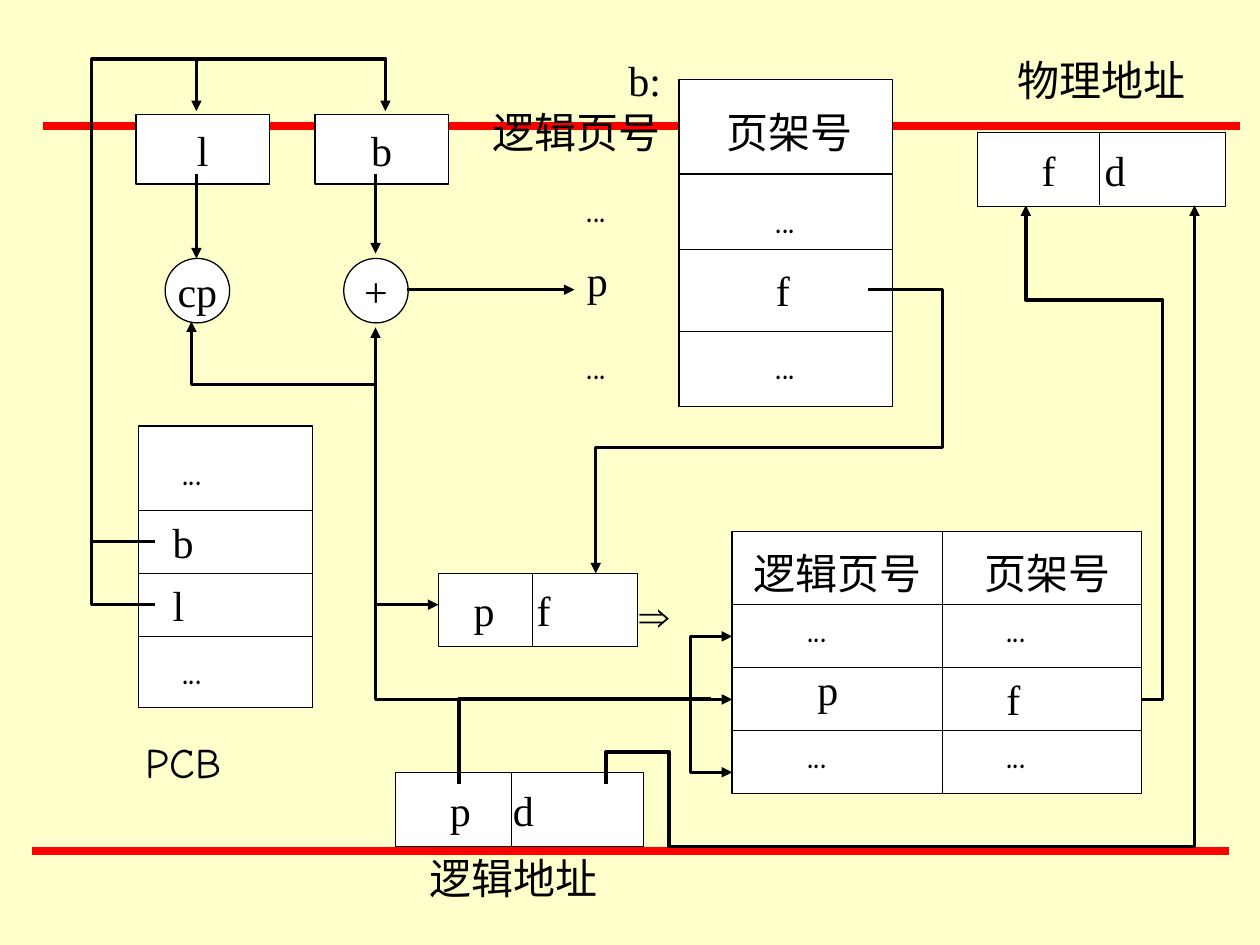
"""Build the slide showing address translation with a page table and associative memory."""
from lxml import etree
from pptx import Presentation
from pptx import util as u
from pptx.dml.color import RGBColor
from pptx.enum import shapes, text
from pptx.oxml.ns import qn

rgb = RGBColor.from_string
SERIF, COMIC = "Times New Roman", "Comic Neue"
LEFT, CENTER = text.PP_ALIGN.LEFT, text.PP_ALIGN.CENTER
RECT, OVAL = shapes.MSO_SHAPE.RECTANGLE, shapes.MSO_SHAPE.OVAL

prs = Presentation()
prs.slide_width, prs.slide_height = u.Cm(25.4), u.Cm(19.05)
s = prs.slides.add_slide(prs.slide_layouts[6])
s.background.fill.solid()
s.background.fill.fore_color.rgb = rgb("FFFFCC")


def wire(points, width=2, ends=("tailEnd",), color="000000"):
    pts = [(u.Cm(x), u.Cm(y)) for x, y in points]
    if len(pts) == 2:
        sp = s.shapes.add_connector(shapes.MSO_CONNECTOR.STRAIGHT, *pts[0], *pts[1])
    else:
        fb = s.shapes.build_freeform(*pts[0])
        fb.add_line_segments(pts[1:], close=False)
        sp = fb.convert_to_shape()
        sp.fill.background()
    sp.line.width = u.Pt(width)
    sp.line.color.rgb = rgb(color)
    spPr = sp.element.spPr
    for end in ends:
        etree.SubElement(spPr.find(qn("a:ln")), qn("a:" + end), type="triangle")
    etree.SubElement(spPr, qn("a:effectLst"))


def write(sp, words, font, align):
    p = sp.text_frame.paragraphs[0]
    p.text = words
    p.alignment = align
    for r in p.runs:
        r.font.name, r.font.size = font, u.Pt(24)
        r.font.color.rgb = rgb("000000")
    return p


for x, y in [(0.64, 17.15), (0.86, 2.54)]:
    wire([(x, y), (x + 24.13, y)], 4.5, (), "FF0000")

wire([(22.58, 14.1), (23.44, 14.1), (23.44, 6.05), (20.68, 6.05), (20.68, 4.14)])

boxes = [
    (RECT, 14.76, 10.72, 8.25, 5.28, ""),
    (RECT, 2.74, 2.31, 2.69, 1.4, "l"),
    (RECT, 6.35, 2.31, 2.69, 1.4, "b"),
    (RECT, 2.79, 8.59, 3.51, 5.68, ""),
    (RECT, 13.69, 1.6, 4.3, 6.6, ""),
    (RECT, 19.71, 2.67, 5, 1.5, "f\td"),
    (RECT, 7.98, 15.57, 5, 1.5, "p\td"),
    (RECT, 8.84, 11.56, 4.01, 1.47, "p\tf"),
    (OVAL, 6.93, 5.21, 1.3, 1.3, "+"),
    (OVAL, 3.33, 5.21, 1.3, 1.3, "cp"),
]
tab_stops = {"f\td": (1.04, 3.02), "p\td": (0.84, 3.25), "p\tf": (0.46, 2.57)}
for kind, x, y, w, h, words in boxes:
    sp = s.shapes.add_shape(kind, u.Cm(x), u.Cm(y), u.Cm(w), u.Cm(h))
    sp.shadow.inherit = False
    sp.fill.solid()
    sp.fill.fore_color.rgb = rgb("FFFFFF")
    sp.line.color.rgb = rgb("000000")
    sp.line.width = u.Pt(0.75)
    if words:
        tf = sp.text_frame
        tf.vertical_anchor = text.MSO_ANCHOR.MIDDLE
        tf.word_wrap = words in tab_stops
        p = write(sp, words, SERIF, LEFT if words in tab_stops else CENTER)
    if words in tab_stops:
        first, second = tab_stops[words]
        pPr = p._p.get_or_add_pPr()
        pPr.set("marL", str(u.Cm(first)))
        pPr.set("indent", "0")
        tabs = etree.SubElement(pPr, qn("a:tabLst"))
        etree.SubElement(tabs, qn("a:tab"), pos=str(u.Cm(second)), algn="l")

rows = [
    (14.76, 23.01, (12.19, 13.46, 14.73)),
    (2.79, 6.3, (10.29, 11.56, 12.83)),
    (13.69, 18.01, (3.51, 5.03, 6.68)),
]
for left, right, ys in rows:
    for y in ys:
        wire([(left, y), (right, y)], 0.75, ())
for x, top, bottom in [(19, 10.72, 16), (22.17, 2.67, 4.14), (10.31, 15.57, 17.07), (10.74, 11.56, 13.03)]:
    wire([(x, top), (x, bottom)], 0.75, ())

labels = [
    (12.65, 11.76, 1.07, "⇒", "Arial", LEFT),
    (14.76, 10.92, 4.24, "逻辑页号", SERIF, CENTER),
    (19, 10.92, 4.24, "页架号", SERIF, CENTER),
    (16.23, 13.26, 1.47, "p", SERIF, LEFT),
    (20.04, 13.46, 1.47, "f", SERIF, LEFT),
    (3.23, 10.29, 2.34, "b", SERIF, LEFT),
    (3.23, 11.56, 2.34, "l", SERIF, LEFT),
    (2.69, 14.73, 2.54, "PCB", COMIC, LEFT),
    (13.92, 2.03, 4.01, "页架号", SERIF, CENTER),
    (9.68, 2.03, 4.24, "逻辑页号", SERIF, LEFT),
    (15.39, 5.21, 2.34, "f", SERIF, LEFT),
    (11.58, 5, 1.91, "p", SERIF, LEFT),
    (20.27, 0.97, 4.24, "物理地址", SERIF, LEFT),
    (8.41, 17.07, 4.24, "逻辑地址", SERIF, LEFT),
    (12.42, 0.97, 1.47, "b:", SERIF, LEFT),
]
dots = [(16.03, 11.99), (20.04, 11.99), (16.03, 14.53), (20.04, 14.53), (3.43, 8.81),
        (3.43, 12.83), (15.39, 3.73), (15.39, 6.68), (11.58, 3.51), (11.58, 6.68)]
labels += [(x, y, 1.8, "...", COMIC, LEFT) for x, y in dots]
for x, y, w, words, font, align in labels:
    sp = s.shapes.add_textbox(u.Cm(x), u.Cm(y), u.Cm(w), u.Cm(1.27))
    sp.text_frame.word_wrap = True
    sp.text_frame.auto_size = text.MSO_AUTO_SIZE.SHAPE_TO_FIT_TEXT
    write(sp, words, font, align)

arrows = [
    [(13.92, 14.1), (14.76, 14.1)],
    [(7.57, 12.19), (8.84, 12.19)],
    [(7.57, 3.51), (7.57, 5.11)],
    [(3.96, 3.51), (3.96, 5.21)],
    [(8.2, 5.84), (11.58, 5.84)],
    [(3.12, 10.92), (1.85, 10.92), (1.85, 1.19), (7.77, 1.19), (7.77, 2.24)],
    [(3.12, 12.19), (1.85, 12.19), (1.85, 1.19), (3.96, 1.19), (3.96, 2.24)],
    [(12.22, 15.8), (12.22, 15.16), (13.49, 15.16), (13.49, 17.07), (24.08, 17.07), (24.08, 4.14)],
    [(9.25, 14.1), (7.57, 14.1), (7.57, 6.6)],
    [(7.57, 7.75), (3.86, 7.75), (3.86, 6.48)],
    [(17.5, 5.84), (19, 5.84), (19, 9.02), (12.01, 9.02), (12.01, 11.56)],
]
for points in arrows:
    wire(points)
wire([(14.76, 12.83), (13.92, 12.83), (13.92, 15.57), (14.76, 15.57)], ends=("headEnd", "tailEnd"))
wire([(9.25, 15.8), (9.25, 14.1), (14.33, 14.1)], 2.25, ())

prs.save("out.pptx")
